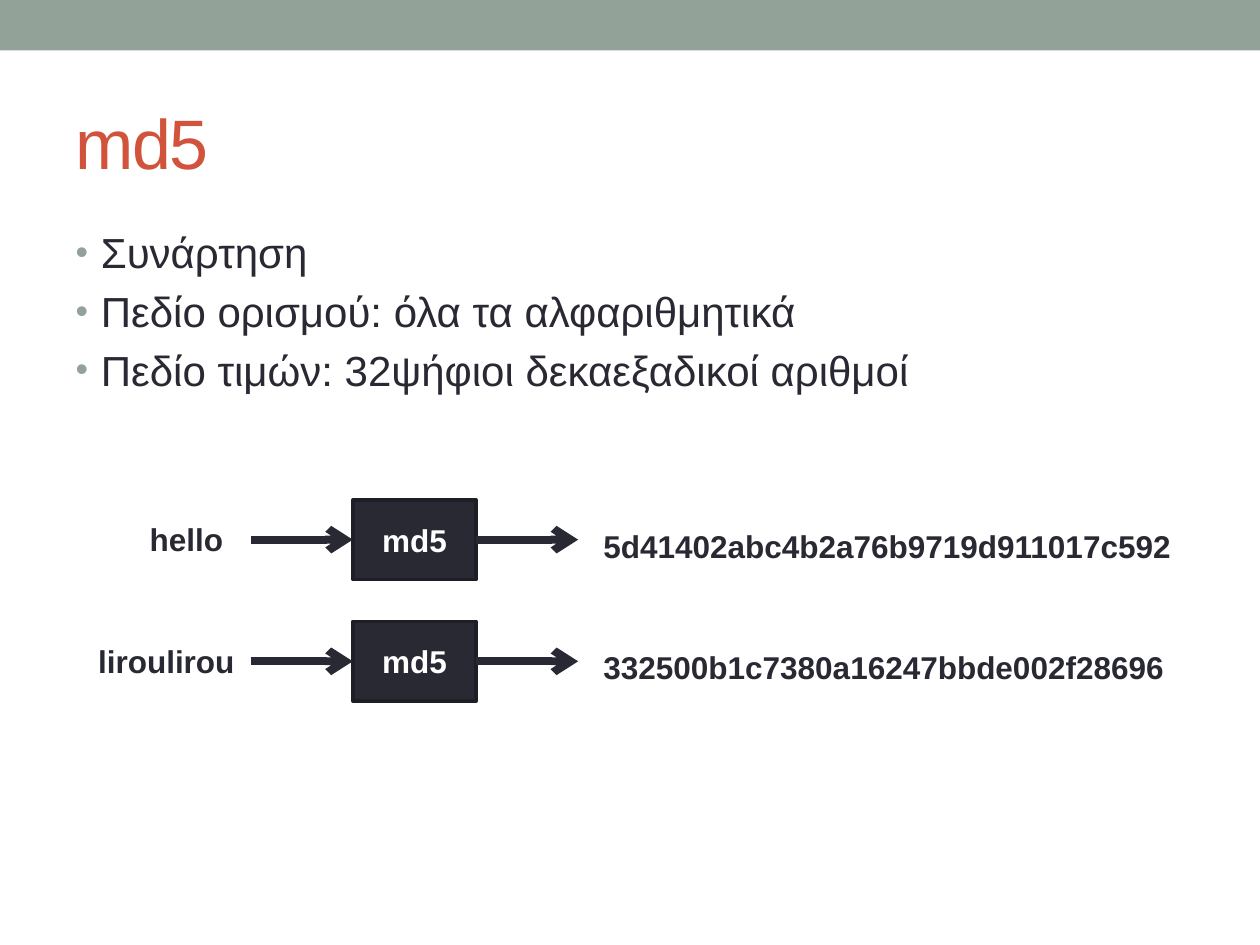
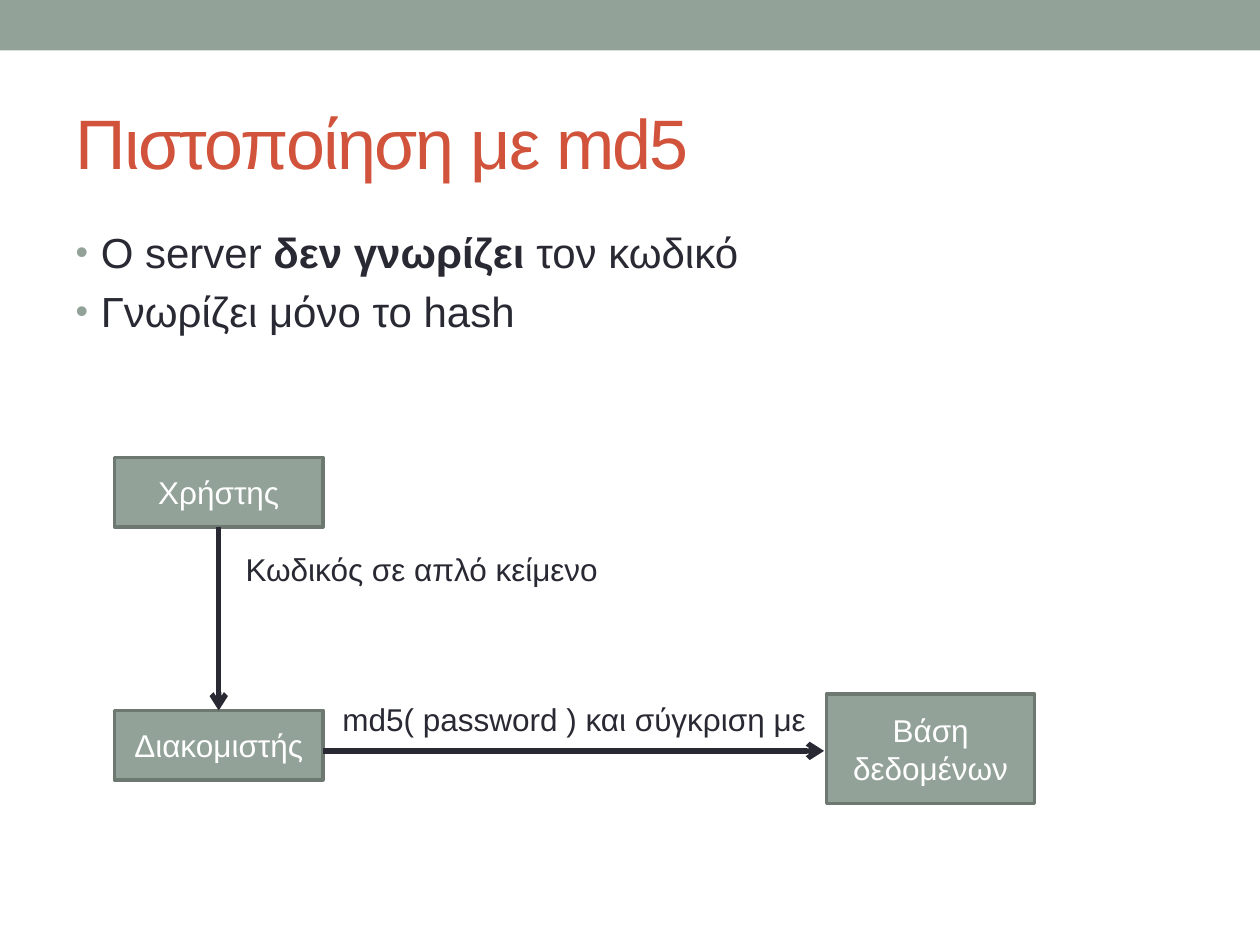
from lxml.etree import SubElement
from pptx import Presentation
from pptx.dml.color import RGBColor
from pptx.enum.shapes import MSO_CONNECTOR, MSO_SHAPE
from pptx.enum.text import MSO_ANCHOR as Anchor, MSO_AUTO_SIZE as AutoSize, PP_ALIGN as Align
from pptx.oxml.ns import qn
from pptx.util import Pt

SAGE = RGBColor(0x93, 0xA2, 0x99)
SAGE_EDGE = RGBColor(0x6D, 0x78, 0x71)
INK = RGBColor(0x29, 0x29, 0x34)
INK_EDGE = RGBColor(0x1E, 0x1E, 0x26)
RUST = RGBColor(0xD2, 0x53, 0x3C)
WHITE = RGBColor(0xFF, 0xFF, 0xFF)

# A bullet is a list of (text, bold) spans.
HASH_TITLE = "md5"
HASH_BULLETS = [
    [("Συνάρτηση", False)],
    [("Πεδίο ορισμού: όλα τα αλφαριθμητικά", False)],
    [("Πεδίο τιμών: 32ψήφιοι δεκαεξαδικοί αριθμοί", False)],
]
# Input text, left edge of its label, alignment, hash
HASH_ROWS = [
    ("hello", 78.5, Align.LEFT, "5d41402abc4b2a76b9719d911017c592"),
    ("liroulirou", 20.2, Align.RIGHT, "332500b1c7380a16247bbde002f28696"),
]

LOGIN_TITLE = "Πιστοποίηση με md5"
LOGIN_BULLETS = [
    [("Ο server ", False), ("δεν γνωρίζει", True), (" τον κωδικό", False)],
    [("Γνωρίζει μόνο το hash", False)],
]
# Left, top, width, height
LOGIN_NODES = {
    "Χρήστης": (65.5, 261.4, 119, 39.6),
    "Διακομιστής": (65.5, 406, 119, 39.6),
    "Βάση δεδομένων": (472.3, 396.7, 119, 62.6),
}
LOGIN_LABELS = {
    "Κωδικός σε απλό κείμενο": (133.2, 310.6, 217.4, 29),
    "md5( password ) και σύγκριση με": (188.6, 396.7, 282.2, 29),
}

PAGE_WIDTH, PAGE_HEIGHT = 720, 540
BAND_HEIGHT = 28.8
MARGIN = 36
INDENT = 14.4
LABEL_HEIGHT = 29
ROW_CENTER, ROW_PITCH = 308.4, 69.5
BOX_LEFT, BOX_WIDTH, BOX_HEIGHT = 201.6, 70.5, 45.4
ARROW_LENGTH = 58.3
LABEL_RIGHT, HASH_LEFT, HASH_WIDTH = 141.1, 337.7, 339.8


def place(shape, left, top, width, height):
    """Move and size a shape."""
    frame = {"left": left, "top": top, "width": width, "height": height}
    for name, value in frame.items():
        setattr(shape, name, Pt(value))


def add_span(para, text, size, color, bold=False):
    """Append a formatted run to a paragraph."""
    span = para.add_run()
    span.text = text
    formats = {"name": "Arial", "size": Pt(size), "bold": bold}
    for name, value in formats.items():
        setattr(span.font, name, value)
    span.font.color.rgb = color
    return span


def add_bullet(para):
    """Give a paragraph the sage bullet and its hanging indent."""
    props = para._p.get_or_add_pPr()
    props.set("marL", str(Pt(INDENT)))
    props.set("indent", str(-Pt(INDENT)))
    color = SubElement(props, qn("a:buClr"))
    SubElement(color, qn("a:srgbClr"), val=str(SAGE))
    SubElement(props, qn("a:buSzPct"), val="85000")
    SubElement(props, qn("a:buFont"), typeface="Arial")
    SubElement(props, qn("a:buChar"), char="•")


def add_block(page, frame, fill, edge=None, text="", bold=False):
    """Add a filled rectangle with optional border and centred text."""
    box = page.shapes.add_shape(MSO_SHAPE.RECTANGLE, *map(Pt, frame))
    box.shadow.inherit = False
    box.fill.solid()
    box.fill.fore_color.rgb = fill
    if edge is None:
        box.line.fill.background()
    else:
        box.line.color.rgb = edge
        box.line.width = Pt(2.08)
    if text:
        box.text_frame.word_wrap = True
        box.text_frame.vertical_anchor = Anchor.MIDDLE
        para = box.text_frame.paragraphs[0]
        para.alignment = Align.CENTER
        add_span(para, text, 18, WHITE, bold)
    return box


def add_label(page, frame, text, bold=False, align=Align.LEFT, wrap=True):
    """Add a plain text label."""
    box = page.shapes.add_textbox(*map(Pt, frame))
    box.text_frame.word_wrap = wrap
    box.text_frame.auto_size = AutoSize.SHAPE_TO_FIT_TEXT
    para = box.text_frame.paragraphs[0]
    para.alignment = align
    add_span(para, text, 18, INK, bold)


def add_arrow(page, start, end, width):
    """Draw a straight arrow from start to end."""
    arrow = page.shapes.add_connector(
        MSO_CONNECTOR.STRAIGHT, *map(Pt, (*start, *end)))
    arrow.line.color.rgb = INK
    arrow.line.width = Pt(width)
    props = arrow.element.spPr
    SubElement(props.find(qn("a:ln")), qn("a:tailEnd"), type="arrow")
    SubElement(props, qn("a:effectLst"))


def add_page(deck, title, bullets, body_height):
    """Add a slide with its title and bullet list."""
    page = deck.slides.add_slide(deck.slide_layouts[1])
    heading, body = page.placeholders
    width = PAGE_WIDTH - 2 * MARGIN
    place(heading, MARGIN, 41.8, width, 77.8)
    heading.text_frame.vertical_anchor = Anchor.MIDDLE
    para = heading.text_frame.paragraphs[0]
    para.alignment = Align.LEFT
    span = add_span(para, title, 40, RUST)
    span.font._element.set("spc", "-100")

    place(body, MARGIN, 126, width, body_height)
    body.text_frame.auto_size = AutoSize.NONE
    for index, spans in enumerate(bullets):
        para = body.text_frame.paragraphs[0] if index == 0 else body.text_frame.add_paragraph()
        add_bullet(para)
        for text, bold in spans:
            add_span(para, text, 24, INK, bold)
    return page


def add_layout_band(page):
    """Add the top band to the layout that all slides share."""
    band = add_block(page, (0, 0, PAGE_WIDTH, BAND_HEIGHT), SAGE)
    page.slide_layout.shapes.element.insert(2, band.element)


def draw_hash_rows(page):
    """Draw each input, the hash function and the resulting hash."""
    box_right = BOX_LEFT + BOX_WIDTH
    for index, (source, left, align, digest) in enumerate(HASH_ROWS):
        middle = ROW_CENTER + index * ROW_PITCH
        add_block(page, (BOX_LEFT, middle - BOX_HEIGHT / 2, BOX_WIDTH, BOX_HEIGHT),
                  INK, INK_EDGE, "md5", True)
        for start in (BOX_LEFT - ARROW_LENGTH, box_right):
            add_arrow(page, (start, middle), (start + ARROW_LENGTH, middle), 4.5)
        add_label(page, (left, middle - 14.8, LABEL_RIGHT - left, LABEL_HEIGHT),
                  source, True, align)
        add_label(page, (HASH_LEFT, middle - 11, HASH_WIDTH, LABEL_HEIGHT), digest, True)


def draw_login_flow(page):
    """Draw the path from user to server to database."""
    for text, frame in LOGIN_NODES.items():
        add_block(page, frame, SAGE, SAGE_EDGE, text)
    for text, frame in LOGIN_LABELS.items():
        add_label(page, frame, text, wrap=False)
    user, server, database = LOGIN_NODES.values()
    middle = user[0] + user[2] / 2
    add_arrow(page, (middle, user[1] + user[3]), (middle, server[1]), 3)
    level = 429.1
    add_arrow(page, (server[0] + server[2], level), (database[0] - 1.4, level), 3)


deck = Presentation()
deck.slide_width, deck.slide_height = Pt(PAGE_WIDTH), Pt(PAGE_HEIGHT)
hash_page = add_page(deck, HASH_TITLE, HASH_BULLETS, 121.7)
add_layout_band(hash_page)
draw_hash_rows(hash_page)
draw_login_flow(add_page(deck, LOGIN_TITLE, LOGIN_BULLETS, 92.9))
deck.save("out.pptx")
